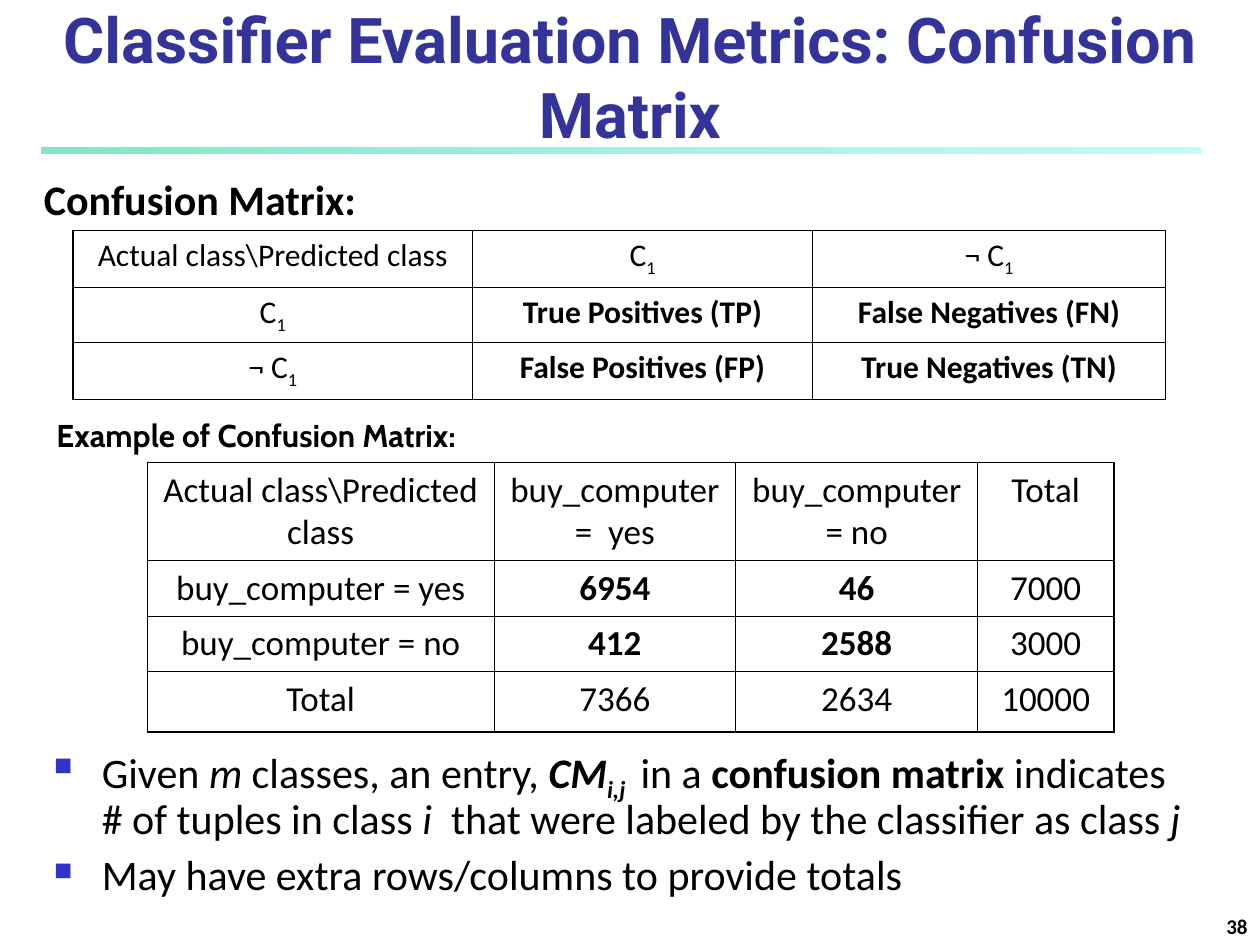
"""Build a slide that explains the confusion matrix of a classifier."""
from lxml.etree import SubElement as Sub
from pptx import Presentation
from pptx.dml.color import RGBColor as Rgb
from pptx.enum.shapes import MSO_SHAPE as Kind
from pptx.enum.text import MSO_ANCHOR as Anchor, PP_ALIGN as Align
from pptx.oxml.ns import qn
from pptx.util import Inches, Pt

HUES = {"title": "333399", "text": "000000", "bullet": "3333CC", "page": "FFFFFF",
        "bar_from": "00CE98", "bar_to": "8FF9EF"}
BAR = {"box": (0.33, 1.17, 9.2, 0.05), "stops": (("bar_from", 50), ("bar_to", 52))}

C1 = [("C", ""), ("1", "s")]
NOT_C1 = [("¬ C", ""), ("1", "s")]
TEXTS = [
    {"box": (0, 0, 10, 1.25), "size": 36, "font": "Roboto", "hue": "title",
     "align": Align.CENTER, "anchor": Anchor.BOTTOM,
     "paras": [[("Classifier Evaluation Metrics: Confusion Matrix", "b")]]},
    {"box": (0.25, 1.33, 2.85, 0.5), "size": 24, "paras": [[("Confusion Matrix:", "b")]]},
    {"box": (0.35, 3.25, 3.87, 0.4), "size": 18, "font": "Cabin", "wrap": False,
     "paras": [[("Example of Confusion Matrix:", "b")]]},
    {"box": (0.33, 5.88, 9.25, 1.37), "size": 24, "bullet": "■",
     "format": {"line_spacing": 0.9, "space_before": Pt(6)},
     "paras": [
         [("Given", ""), (" m", "i"), (" classes, an entry, ", ""), ("CM", "bi"),
          ("i,j ", "bis"), (" in a ", ""), ("confusion matrix", "b"),
          (" indicates # of tuples in class ", ""), ("i", "i"),
          ("  that were labeled by the classifier as class ", ""), ("j", "i")],
         [("May have extra rows/columns to provide totals", "")]]},
    {"box": (7.92, 7.08, 2.08, 0.42), "size": 12, "align": Align.RIGHT,
     "anchor": Anchor.BOTTOM, "paras": [[("38", "b")]]},
]
TABLES = [
    {"at": (1.17, 3.67), "cols": (2.75, 1.92, 1.92, 1.08), "rows": (0.77, 0.43, 0.43, 0.48),
     "size": 20, "before": 5, "cells": [
         ["Actual class\\Predicted class", "buy_computer =  yes", "buy_computer = no", "Total"],
         ["buy_computer = yes", [("6954", "b")], [("46", "b")], "7000"],
         ["buy_computer = no", [("412", "b")], [("2588", "b")], "3000"],
         ["Total", "7366", "2634", "10000"]]},
    {"at": (0.58, 1.83), "cols": (3.17, 2.7, 2.8), "rows": (0.45, 0.44, 0.45),
     "size": 18, "before": 4.5, "cells": [
         ["Actual class\\Predicted class", C1, NOT_C1],
         [C1, [("True Positives (TP)", "b")], [("False Negatives (FN)", "b")]],
         [NOT_C1, [("False Positives (FP)", "b")], [("True Negatives (TN)", "b")]]]},
]
EDGE, INNER = 1.08, 0.45


def color(name):
    return Rgb.from_string(HUES[name])


def apply(target, values):
    for name, value in values.items():
        setattr(target, name, value)


def write(para, runs, size, font="Calibri", hue="text"):
    for text, style in runs:
        run = para.add_run()
        run.text = text
        apply(run.font, {"size": Pt(size), "name": font,
                         "bold": "b" in style, "italic": "i" in style})
        run.font.color.rgb = color(hue)
        if "s" in style:
            run._r.get_or_add_rPr().set("baseline", "-25000")


def add_bullet(para, mark):
    props = para._p.get_or_add_pPr()
    props.set("marL", str(Inches(0.38)))
    props.set("indent", str(-Inches(0.38)))
    Sub(Sub(props, qn("a:buClr")), qn("a:srgbClr"), val=HUES["bullet"])
    Sub(props, qn("a:buSzPct"), val="60000")
    Sub(props, qn("a:buChar"), char=mark)


def add_text(slide, item):
    frame = slide.shapes.add_textbox(*map(Inches, item["box"])).text_frame
    apply(frame, {"word_wrap": item.get("wrap", True),
                  "vertical_anchor": item.get("anchor", Anchor.TOP)})
    for i, runs in enumerate(item["paras"]):
        para = frame.add_paragraph() if i else frame.paragraphs[0]
        apply(para, {"alignment": item.get("align", Align.LEFT), **item.get("format", {})})
        if "bullet" in item:
            add_bullet(para, item["bullet"])
        write(para, runs, item["size"], item.get("font", "Calibri"), item.get("hue", "text"))


def add_border(cell, side, width):
    line = Sub(cell._tc.get_or_add_tcPr(), qn(f"a:ln{side}"), w=str(Pt(width)))
    Sub(Sub(line, qn("a:solidFill")), qn("a:srgbClr"), val=HUES["text"])


def add_grid(slide, item):
    cols, rows = item["cols"], item["rows"]
    box = (*item["at"], sum(cols), sum(rows))
    grid = slide.shapes.add_table(len(rows), len(cols), *map(Inches, box)).table
    apply(grid, {"first_row": False, "horz_banding": False})
    for col, width in zip(grid.columns, cols):
        col.width = Inches(width)
    for r, height in enumerate(rows):
        grid.rows[r].height = Inches(height)
        for c, value in enumerate(item["cells"][r]):
            cell = grid.cell(r, c)
            outer = {"L": c == 0, "R": c == len(cols) - 1,
                     "T": r == 0, "B": r == len(rows) - 1}
            for side, edge in outer.items():
                add_border(cell, side, EDGE if edge else INNER)
            cell.fill.background()
            para = cell.text_frame.paragraphs[0]
            apply(para, {"alignment": Align.CENTER, "space_before": Pt(item["before"])})
            write(para, [(value, "")] if isinstance(value, str) else value, item["size"])


def add_bar(slide):
    bar = slide.shapes.add_shape(Kind.RECTANGLE, *map(Inches, BAR["box"]))
    bar.shadow.inherit = False
    bar.line.fill.background()
    bar.fill.gradient()
    bar.fill.gradient_angle = 0
    for stop, (hue, alpha) in zip(bar.fill.gradient_stops, BAR["stops"]):
        stop.color.rgb = color(hue)
    for tint, (hue, alpha) in zip(bar._element.spPr.iter(qn("a:srgbClr")), BAR["stops"]):
        Sub(tint, qn("a:alpha"), val=str(alpha * 1000))


def main():
    deck = Presentation()
    apply(deck, {"slide_width": Inches(10), "slide_height": Inches(7.5)})
    slide = deck.slides.add_slide(deck.slide_layouts[6])
    slide.background.fill.solid()
    slide.background.fill.fore_color.rgb = color("page")
    add_bar(slide)
    for item in TABLES:
        add_grid(slide, item)
    for item in TEXTS:
        add_text(slide, item)
    deck.save("out.pptx")


if __name__ == "__main__":
    main()
